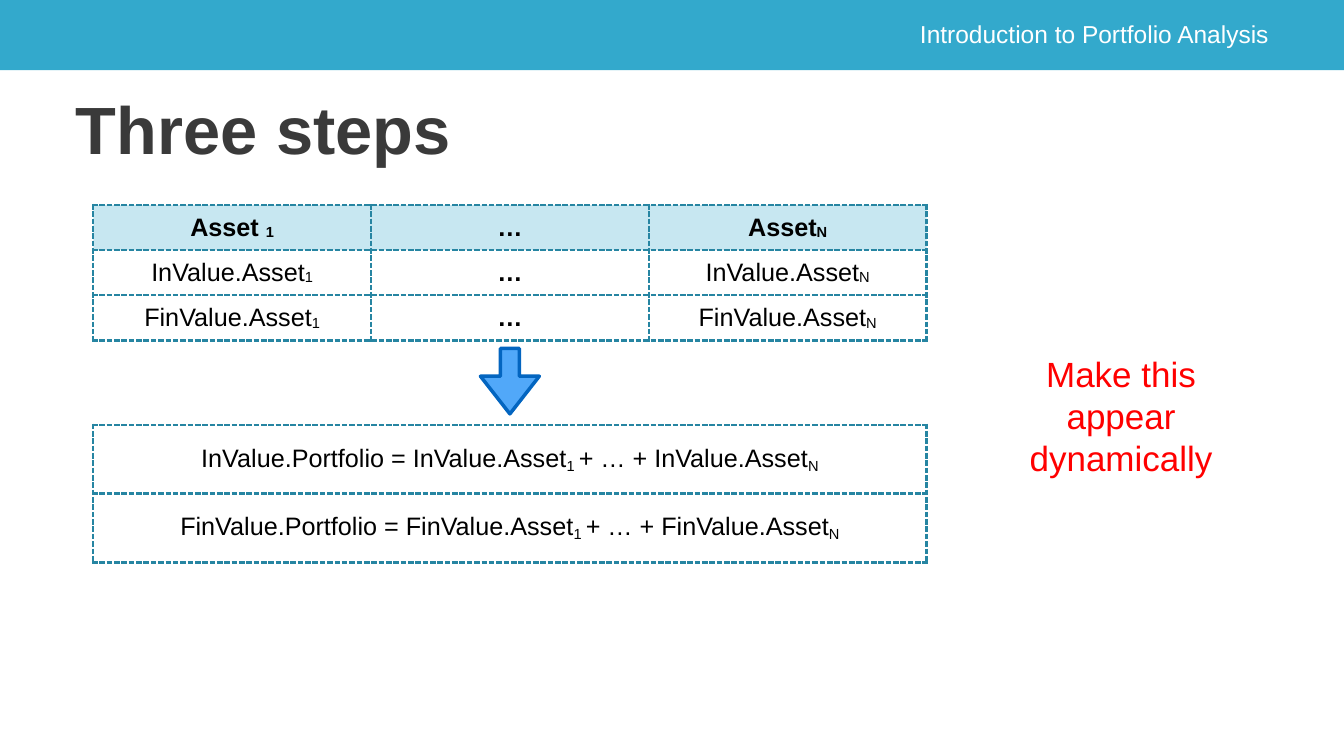
"""Build the "Three steps" slide of a portfolio analysis course."""
import lxml.etree
import pptx
import pptx.dml.color
import pptx.enum.shapes
import pptx.enum.text
import pptx.oxml.ns
import pptx.util

Cm = pptx.util.Cm
Pt = pptx.util.Pt
RGBColor = pptx.dml.color.RGBColor
PP_ALIGN = pptx.enum.text.PP_ALIGN
MIDDLE = pptx.enum.text.MSO_ANCHOR.MIDDLE
MSO_SHAPE = pptx.enum.shapes.MSO_SHAPE
qn = pptx.oxml.ns.qn

FONT = "Arial"
TEAL = RGBColor(0x33, 0xA9, 0xCC)
BORDER = RGBColor(0x26, 0x85, 0xA2)
ARROW_FILL = RGBColor(0x51, 0xA8, 0xF9)
ARROW_LINE = RGBColor(0x03, 0x65, 0xC0)
CHARCOAL = RGBColor(0x3A, 0x3A, 0x3A)
WHITE = RGBColor(0xFF, 0xFF, 0xFF)
BLACK = RGBColor(0, 0, 0)
RED = RGBColor(0xFF, 0, 0)

COURSE = "Introduction to Portfolio Analysis"
TITLE = "Three steps"
REMARK = "Make this appear dynamically"
SUBSCRIPT_MARK = "_"
ASSETS = [
    ["Asset _1", "…", "Asset_N"],
    ["InValue.Asset_1", "…", "InValue.Asset_N"],
    ["FinValue.Asset_1", "…", "FinValue.Asset_N"],
]
FORMULAS = [
    ["InValue.Portfolio = InValue.Asset_1 _+ … + InValue.Asset_N"],
    ["FinValue.Portfolio = FinValue.Asset_1 _+ … + FinValue.Asset_N"],
]

SLIDE_WIDTH, SLIDE_HEIGHT = Cm(67.74), Cm(38.1)
TABLE_LEFT, TABLE_WIDTH = Cm(4.7), Cm(42)
ARROW_WIDTH, ARROW_HEIGHT = Cm(2.97), Cm(3.3)


def format_paragraph(paragraph, size, color, alignment, bold=False):
    paragraph.alignment = alignment
    font = paragraph.font
    font.name, font.size, font.bold = FONT, Pt(size), bold
    font.color.rgb = color


def write_text(shape, text, margin, size, color, alignment, bold=False):
    frame = shape.text_frame
    frame.word_wrap = True
    frame.auto_size = pptx.enum.text.MSO_AUTO_SIZE.NONE
    frame.vertical_anchor = MIDDLE
    frame.margin_left = frame.margin_right = margin
    frame.margin_top = frame.margin_bottom = margin
    frame.text = text
    format_paragraph(frame.paragraphs[0], size, color, alignment, bold)


def add_borders(cell):
    properties = cell._tc.get_or_add_tcPr()
    for side in ("a:lnL", "a:lnR", "a:lnT", "a:lnB"):
        line = lxml.etree.SubElement(properties, qn(side), w=str(Pt(4)))
        fill = lxml.etree.SubElement(line, qn("a:solidFill"))
        lxml.etree.SubElement(fill, qn("a:srgbClr"), val=str(BORDER))
        lxml.etree.SubElement(line, qn("a:prstDash"), val="sysDash")


def fill_cell(cell, color, opacity=None):
    if color is None:
        cell.fill.background()
        return
    cell.fill.solid()
    cell.fill.fore_color.rgb = color
    if opacity is not None:
        tint = cell._tc.tcPr.find(f"{qn('a:solidFill')}/{qn('a:srgbClr')}")
        lxml.etree.SubElement(tint, qn("a:alpha"), val=str(opacity * 1000))


def write_cell(cell, text, baseline, bold):
    cell.vertical_anchor = MIDDLE
    cell.margin_left = cell.margin_right = Cm(0.15)
    cell.margin_top = cell.margin_bottom = Cm(0.15)
    paragraph = cell.text_frame.paragraphs[0]
    format_paragraph(paragraph, 36, BLACK, PP_ALIGN.CENTER, bold)
    for index, part in enumerate(text.split(SUBSCRIPT_MARK)):
        run = paragraph.add_run()
        run.text = part
        if index % 2:
            run._r.get_or_add_rPr().set("baseline", str(baseline * 1000))


def add_dashed_table(slide, rows, top, row_height, baseline, has_header):
    columns = len(rows[0])
    table = slide.shapes.add_table(
        len(rows), columns, TABLE_LEFT, top, TABLE_WIDTH, row_height * len(rows)
    ).table
    table.first_row = table.horz_banding = False
    for row_index, texts in enumerate(rows):
        table.rows[row_index].height = row_height
        for column_index, text in enumerate(texts):
            cell = table.cell(row_index, column_index)
            is_header = has_header and row_index == 0
            add_borders(cell)
            if is_header:
                fill_cell(cell, TEAL, 27)
            else:
                fill_cell(cell, WHITE if text == "…" else None)
            write_cell(cell, text, baseline, is_header or text == "…")


def add_banner(slide):
    banner = slide.shapes.add_shape(MSO_SHAPE.RECTANGLE, 0, 0, SLIDE_WIDTH, Cm(3.53))
    banner.shadow.inherit = False
    banner.fill.solid()
    banner.fill.fore_color.rgb = TEAL
    banner.line.fill.background()
    course = slide.shapes.add_textbox(Cm(44.32), Cm(0.81), Cm(19.79), Cm(1.75))
    write_text(course, COURSE, Cm(0.15), 35, WHITE, PP_ALIGN.RIGHT)


def add_arrow(slide):
    left = TABLE_LEFT + (TABLE_WIDTH - ARROW_WIDTH) // 2
    arrow = slide.shapes.add_shape(
        MSO_SHAPE.DOWN_ARROW, left, Cm(17.56), ARROW_WIDTH, ARROW_HEIGHT
    )
    arrow.adjustments[0], arrow.adjustments[1] = 0.32, 0.64
    arrow.shadow.inherit = False
    arrow.fill.solid()
    arrow.fill.fore_color.rgb = ARROW_FILL
    arrow.line.color.rgb = ARROW_LINE
    arrow.line.width = Pt(5)


def main():
    presentation = pptx.Presentation()
    presentation.slide_width, presentation.slide_height = SLIDE_WIDTH, SLIDE_HEIGHT
    slide = presentation.slides.add_slide(presentation.slide_layouts[5])

    add_banner(slide)
    add_dashed_table(slide, ASSETS, Cm(10.34), Cm(2.27), -6, True)
    add_arrow(slide)
    add_dashed_table(slide, FORMULAS, Cm(21.41), Cm(3.47), -16, False)

    title = slide.shapes.title
    title.left, title.top = Cm(3.63), Cm(4.01)
    title.width, title.height = Cm(50.83), Cm(4.88)
    write_text(title, TITLE, Cm(0.2), 95.4, CHARCOAL, PP_ALIGN.LEFT, True)

    remark = slide.shapes.add_textbox(Cm(50.37), Cm(17.55), Cm(12.27), Cm(6.81))
    write_text(remark, REMARK, Cm(0.2), 50, RED, PP_ALIGN.CENTER)

    presentation.save("out.pptx")


if __name__ == "__main__":
    main()
